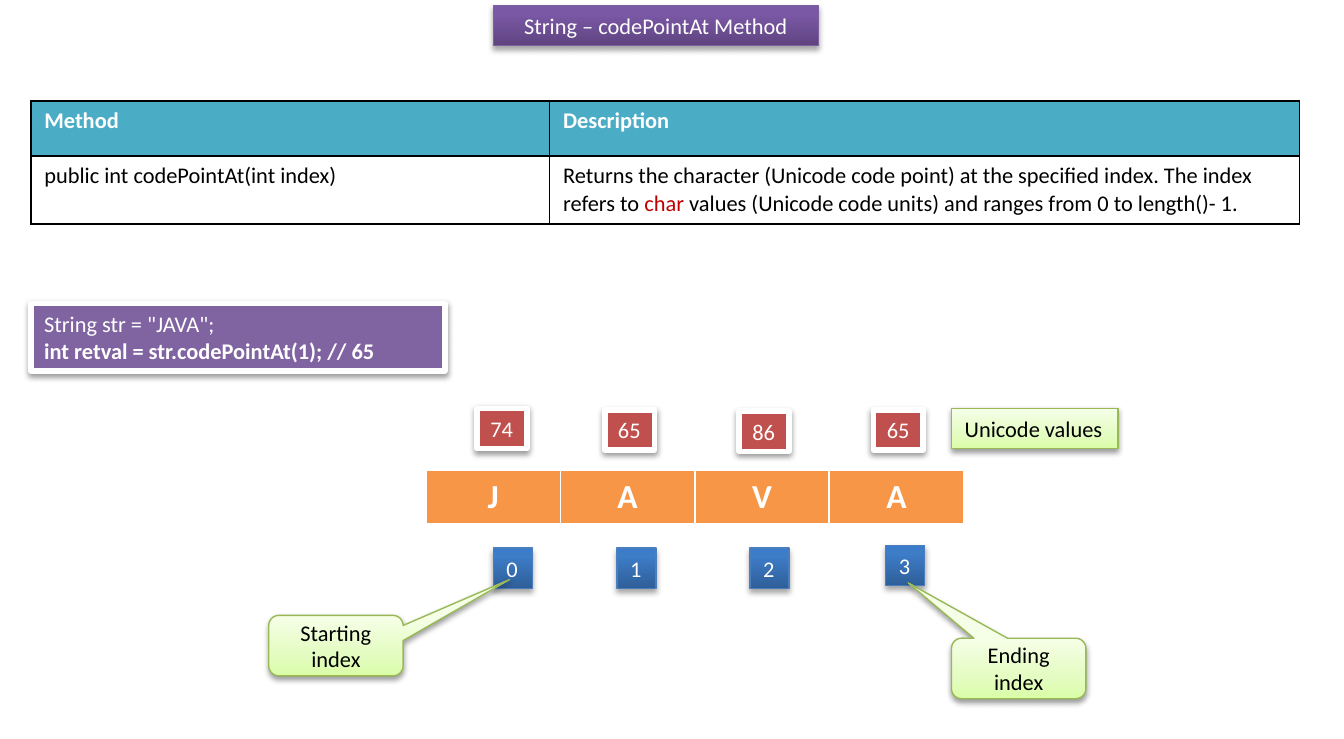
"""Build a slide on the codePointAt method of a Java string."""
from dataclasses import dataclass

from lxml.etree import SubElement
from pptx import Presentation
from pptx.dml.color import RGBColor
from pptx.enum.shapes import MSO_SHAPE
from pptx.enum.text import MSO_ANCHOR, PP_ALIGN
from pptx.oxml.ns import qn
from pptx.util import Pt

PX = 9144
FONT = "Calibri"
WHITE, BLACK, RED = "FFFFFF", "000000", "C00000"


@dataclass(frozen=True)
class Look:
    stops: tuple[tuple[int, str], ...]
    line: str
    width: float = 0.75
    ink: str = WHITE
    dim: int = 38
    drop: float = 1.6


@dataclass(frozen=True)
class Box:
    text: str
    left: int
    top: int
    width: int
    look: Look
    height: int = 30
    wrap: bool = False
    align: PP_ALIGN = PP_ALIGN.LEFT
    tip: tuple[float, ...] = ()


PURPLE = Look(((0, "5F4480"), (80, "7B58A6"), (100, "7C57A8")), "7D60A0", dim=35, drop=1.8)
BLUE = Look(((0, "2F5F99"), (80, "3D7CC7"), (100, "3A7CCB")), "4B7EBC", dim=35, drop=1.8)
GREEN = Look(((0, "DAFDA7"), (35, "E4FCC2"), (100, "F5FFE7")), "98B955", ink=BLACK)
CODE = Look(((0, "8064A2"),), WHITE, 3)
VALUE = Look(((0, "C0504D"),), WHITE, 3)

TITLE = Box("String – codePointAt Method", 367, 4, 242, PURPLE, wrap=True, align=PP_ALIGN.CENTER)
VALUES = [Box(text, left, top, 37, VALUE) for text, left, top in
          (("74", 355, 304), ("65", 450, 305), ("86", 550, 306), ("65", 650, 305))]
INDEXES = [Box(str(n), left, top, 29, BLUE) for n, (left, top) in
           enumerate(((367, 408), (459, 408), (558, 408), (659, 406)))]
CALLS = [Box(text, left, top, 100, GREEN, 45, True, PP_ALIGN.CENTER, tip) for text, left, top, tip in
         (("Starting index", 200, 458, (1.292, -1.094, 0.167)),
          ("Ending index", 708, 475, (-0.823, -1.417, 0.167)))]
LABEL = Box("Unicode values", 708, 304, 124, GREEN)
SAMPLE = Box("String str = \"JAVA\";", 23, 226, 308, CODE, 50, True)


def paint(code: str) -> RGBColor:
    """Turn a hex string into a colour."""
    return RGBColor.from_string(code)


def write(para, text: str, *, size: int = 12, ink: str = WHITE, bold: bool = False,
          align: PP_ALIGN = PP_ALIGN.LEFT) -> None:
    """Add a formatted run to a paragraph."""
    para.alignment = align
    run = para.add_run()
    run.text = text
    font = run.font
    font.name, font.size, font.bold = FONT, Pt(size), bold
    font.color.rgb = paint(ink)


def add_tint(node, code: str):
    """Append a colour element and return it."""
    return SubElement(node, qn("a:srgbClr"), val=code)


def style(shape, look: Look) -> None:
    """Give a shape its fill, line and shadow."""
    if len(look.stops) == 1:
        shape.fill.solid()
        shape.fill.fore_color.rgb = paint(look.stops[0][1])
    else:
        shape.fill.gradient()
        shape.fill.gradient_angle = 90
        stops = shape._element.spPr.find(f"{qn('a:gradFill')}/{qn('a:gsLst')}")
        for old in list(stops):
            stops.remove(old)
        for place, code in look.stops:
            add_tint(SubElement(stops, qn("a:gs"), pos=str(place * 1000)), code)
    shape.line.color.rgb = paint(look.line)
    shape.line.width = Pt(look.width)
    shape.shadow.inherit = False
    shade = SubElement(shape._element.spPr.find(qn("a:effectLst")), qn("a:outerShdw"),
                       blurRad=str(Pt(3.1)), dist=str(Pt(look.drop)), dir="5400000", rotWithShape="0")
    SubElement(add_tint(shade, BLACK), qn("a:alpha"), val=str(look.dim * 1000))


def add_box(slide, box: Box):
    """Draw a box or callout and return its text frame."""
    kind = MSO_SHAPE.ROUNDED_RECTANGULAR_CALLOUT if box.tip else MSO_SHAPE.RECTANGLE
    shape = slide.shapes.add_shape(kind, box.left * PX, box.top * PX, box.width * PX, box.height * PX)
    for n, value in enumerate(box.tip):
        shape.adjustments[n] = value
    style(shape, box.look)
    frame = shape.text_frame
    frame.word_wrap = box.wrap
    frame.vertical_anchor = MSO_ANCHOR.MIDDLE if box.tip else MSO_ANCHOR.TOP
    write(frame.paragraphs[0], box.text, ink=box.look.ink, align=box.align)
    return frame


def set_cell(cell, fill: str, edge: str, base: int = 1) -> None:
    """Set the borders and fill of a table cell."""
    props = cell._tc.get_or_add_tcPr()
    for side, width in (("L", 1), ("R", 1), ("T", 1), ("B", base)):
        line = SubElement(props, qn(f"a:ln{side}"), w=str(Pt(width)))
        add_tint(SubElement(line, qn("a:solidFill")), edge)
    if fill:
        cell.fill.solid()
        cell.fill.fore_color.rgb = paint(fill)
    else:
        cell.fill.background()


def add_grid(slide, left: int, top: int, cols: list[int], rows: list[int]):
    """Add a plain table with the given column and row sizes."""
    grid = slide.shapes.add_table(len(rows), len(cols), left * PX, top * PX,
                                  sum(cols) * PX, sum(rows) * PX).table
    grid.first_row = grid.horz_banding = False
    for col, width in zip(grid.columns, cols):
        col.width = width * PX
    for row, height in zip(grid.rows, rows):
        row.height = height * PX
    return grid


def add_tables(slide) -> None:
    """Add the method table and the row of letters."""
    grid = add_grid(slide, 23, 75, [386, 558], [41, 50])
    body = (("Returns the character (Unicode code point) at the specified index. The index refers to ", BLACK),
            ("char", RED),
            (" values (Unicode code units) and ranges from 0 to length()- 1.", BLACK))
    cells = ((("Method", WHITE),), (("Description", WHITE),),
             (("public int codePointAt(int index)", BLACK),), body)
    for n, (cell, runs) in enumerate(zip(grid.iter_cells(), cells)):
        head = n < 2
        set_cell(cell, "4BACC6" if head else "", BLACK)
        for text, ink in runs:
            write(cell.text_frame.paragraphs[0], text, ink=ink, bold=head)
    word = add_grid(slide, 317, 350, [100] * 4, [41])
    for cell, text in zip(word.iter_cells(), "JAVA"):
        set_cell(cell, "F79646", WHITE, 3)
        write(cell.text_frame.paragraphs[0], text, size=18, bold=True, align=PP_ALIGN.CENTER)


def main() -> None:
    """Build and save the slide."""
    deck = Presentation()
    deck.slide_width, deck.slide_height = 1000 * PX, 550 * PX
    slide = deck.slides.add_slide(deck.slide_layouts[6])
    add_box(slide, TITLE)
    add_tables(slide)
    for box in (*VALUES, *INDEXES, *CALLS, LABEL):
        add_box(slide, box)
    code = add_box(slide, SAMPLE)
    write(code.add_paragraph(), "int retval = str.codePointAt(1); // 65", bold=True)
    deck.save("out.pptx")


if __name__ == "__main__":
    main()
